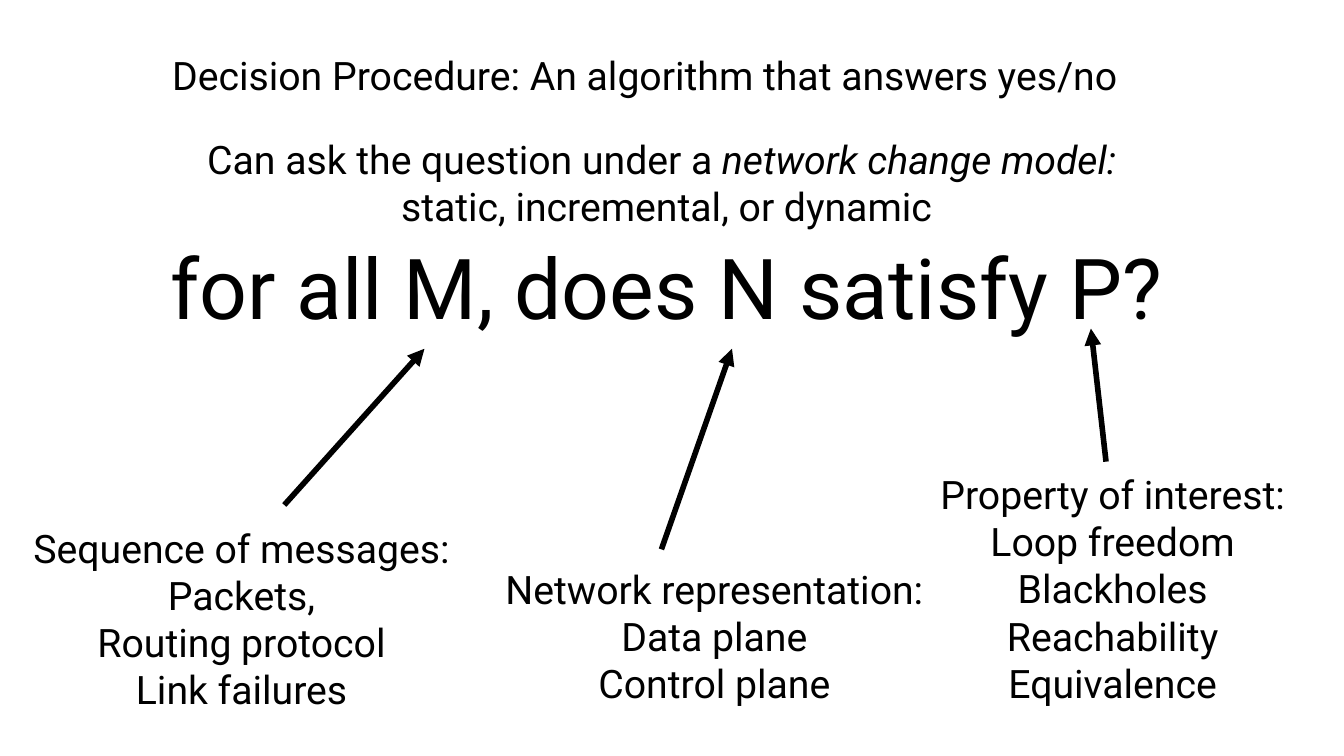
from lxml.etree import SubElement
from pptx import Presentation
from pptx.dml.color import RGBColor
from pptx.enum.shapes import MSO_CONNECTOR
from pptx.enum.text import MSO_ANCHOR, PP_ALIGN
from pptx.oxml.ns import qn
from pptx.util import Inches, Pt

FONT = "Roboto"
COLORS = {"ink": "000000"}
MID, LEFT = PP_ALIGN.CENTER, PP_ALIGN.LEFT

TITLE = ((0.86, 2.36, 11.5, 1.04), [["for all M, does N satisfy P?"]])
INTRO = ((1.61, 0.46, 9.71, 0.57),
         [["Decision Procedure: An algorithm that answers yes/no"]])
MODEL = ((1.72, 1.29, 9.78, 1.04), [
    ["Can ask the question under a", (" network change model: ",)],
    ["static, incremental, or dynamic"],
])
PARTS = [
    ((0.1, 5.15, 4.59, 1.99), (2.82, 5.01, 4.21, 3.46),
     ["Sequence of messages:", "Packets,", "Routing protocol", "Link failures"]),
    ((4.91, 5.56, 4.35, 1.51), (6.56, 5.45, 7.26, 3.46),
     ["Network representation:", "Data plane", "Control plane"]),
    ((8.86, 4.62, 4.35, 2.46), (10.97, 4.58, 10.82, 3.26),
     ["Property of interest:", "Loop freedom", "Blackholes", "Reachability",
      "Equivalence"]),
]


def ink():
    return RGBColor.from_string(COLORS["ink"])


def add_text(slide, box, lines, size=28, align=MID, anchor=MSO_ANCHOR.TOP, pitch=None):
    """Add a text box; a run held in a tuple is italic."""
    frame = slide.shapes.add_textbox(*map(Inches, box)).text_frame
    frame.word_wrap = True
    frame.vertical_anchor = anchor
    for i, line in enumerate(lines):
        para = frame.add_paragraph() if i else frame.paragraphs[0]
        para.alignment = align
        para.line_spacing = pitch
        for part in line:
            slant = isinstance(part, tuple)
            run = para.add_run()
            run.text = part[0] if slant else part
            run.font.name = FONT
            run.font.size = Pt(size)
            run.font.italic = slant
            run.font.color.rgb = ink()


def add_arrow(slide, ends):
    """Add a thick line with an arrowhead at its end."""
    arrow = slide.shapes.add_connector(MSO_CONNECTOR.STRAIGHT, *map(Inches, ends))
    arrow.line.width = Pt(4)
    arrow.line.color.rgb = ink()
    SubElement(arrow.line._get_or_add_ln(), qn("a:tailEnd"), type="triangle")
    SubElement(arrow._element.spPr, qn("a:effectLst"))


def main():
    """Build the slide and save it."""
    deck = Presentation()
    deck.slide_width, deck.slide_height = Inches(13.33), Inches(7.5)
    slide = deck.slides.add_slide(deck.slide_layouts[6])
    add_text(slide, *TITLE, size=60, anchor=MSO_ANCHOR.BOTTOM, pitch=0.9)
    for box, ends, lines in PARTS:
        add_arrow(slide, ends)
        add_text(slide, box, [[line] for line in lines])
    add_text(slide, *INTRO, align=LEFT)
    add_text(slide, *MODEL)
    deck.save("out.pptx")


if __name__ == "__main__":
    main()
